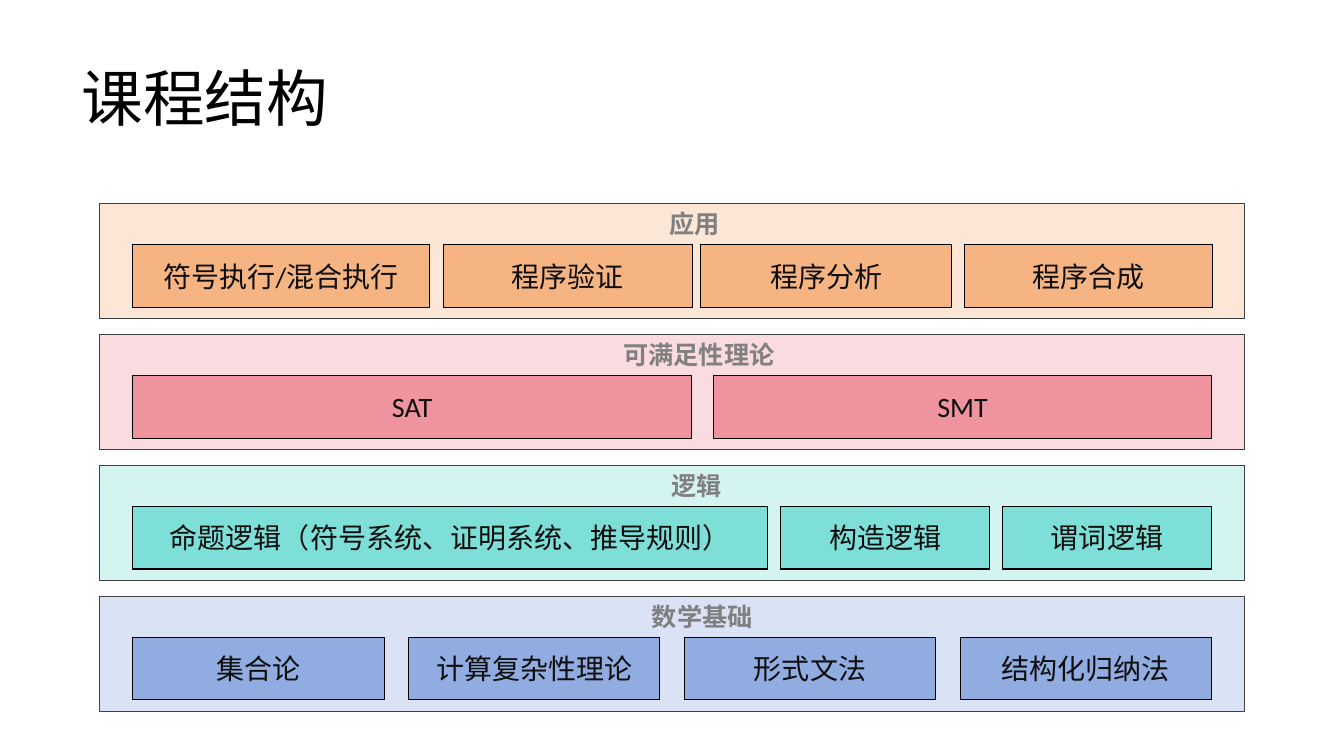
from dataclasses import dataclass

from lxml.etree import SubElement
from pptx import Presentation
from pptx.dml.color import RGBColor
from pptx.enum.shapes import MSO_SHAPE
from pptx.enum.text import MSO_ANCHOR, MSO_AUTO_SIZE, PP_ALIGN
from pptx.oxml.ns import qn
from pptx.util import Cm, Pt

BLACK = RGBColor(0x00, 0x00, 0x00)
TOPIC_INK = RGBColor(0x0D, 0x0D, 0x0D)
LAYER_EDGE = RGBColor(0x40, 0x40, 0x40)
HEADING_GREY = RGBColor(0x80, 0x80, 0x80)
ORANGE = RGBColor(0xF5, 0xB4, 0x82)
PALE_ORANGE = RGBColor(0xFC, 0xE6, 0xD5)
RED = RGBColor(0xEF, 0x94, 0x9E)
PALE_RED = RGBColor(0xFA, 0xDB, 0xDF)
TEAL = RGBColor(0x7D, 0xDF, 0xD7)
PALE_TEAL = RGBColor(0xD4, 0xF4, 0xF2)
BLUE = RGBColor(0x91, 0xAC, 0xE0)
PALE_BLUE = RGBColor(0xDA, 0xE3, 0xF5)

LATIN_FONT = "Calibri"
CHINESE_FONT = "Noto Sans CJK SC"

LAYER_LEFT, LAYER_TOP = 2.51, 5.13
LAYER_WIDTH, LAYER_HEIGHT = 28.85, 2.9
LAYER_PITCH = 3.3
TOPIC_OFFSET, TOPIC_HEIGHT = 1.03, 1.58
HEADING_HEIGHT = 1.03


@dataclass
class Layer:
    heading: str
    heading_offset: float
    heading_width: float
    pale: RGBColor
    strong: RGBColor
    topics: list


LAYERS = [
    Layer("应用", 14.12, 4.67, PALE_ORANGE, ORANGE, [
        ("符号执行/混合执行", 0.82, 7.5),
        ("程序验证", 8.66, 6.28),
        ("程序分析", 15.14, 6.34),
        ("程序合成", 21.8, 6.24),
    ]),
    Layer("可满足性理论", 12.95, 4.67, PALE_RED, RED, [
        ("SAT", 0.84, 14.07),
        ("SMT", 15.48, 12.54),
    ]),
    Layer("逻辑", 14.17, 1.9, PALE_TEAL, TEAL, [
        ("命题逻辑（符号系统、证明系统、推导规则）", 0.84, 16),
        ("构造逻辑", 17.17, 5.26),
        ("谓词逻辑", 22.76, 5.26),
    ]),
    Layer("数学基础", 13.67, 3.28, PALE_BLUE, BLUE, [
        (topic, 0.84 + 6.95 * column, 6.33)
        for column, topic in enumerate(
            ["集合论", "计算复杂性理论", "形式文法", "结构化归纳法"])
    ]),
]


def add_run(paragraph, wording, size, colour, latin=CHINESE_FONT, bold=False):
    run = paragraph.add_run()
    run.text = wording
    run.font.size = Pt(size)
    run.font.bold = bold
    run.font.color.rgb = colour
    run.font.name = latin
    east_asian = SubElement(run.font._element, qn("a:ea"))
    east_asian.set("typeface", CHINESE_FONT)


def add_box(group, left, top, width, height, fill, edge, edge_width):
    box = group.shapes.add_shape(
        MSO_SHAPE.RECTANGLE, Cm(left), Cm(top), Cm(width), Cm(height))
    box.shadow.inherit = False
    box.fill.solid()
    box.fill.fore_color.rgb = fill
    box.line.color.rgb = edge
    box.line.width = Pt(edge_width)
    return box


def add_title(slide, left, top, width, height):
    title = slide.shapes.title
    title.left, title.top = Cm(left), Cm(top)
    title.width, title.height = Cm(width), Cm(height)
    frame = title.text_frame
    frame.auto_size = MSO_AUTO_SIZE.NONE
    frame.vertical_anchor = MSO_ANCHOR.MIDDLE
    paragraph = frame.paragraphs[0]
    paragraph.alignment = PP_ALIGN.LEFT
    paragraph.line_spacing = 0.9
    add_run(paragraph, "课程结构", 44, BLACK)


def add_layer(slide, layer, left, top, width, height):
    group = slide.shapes.add_group_shape()
    add_box(group, left, top, width, height, layer.pale, LAYER_EDGE, 1)

    for topic, offset, topic_width in layer.topics:
        topic_box = add_box(group, left + offset, top + TOPIC_OFFSET,
                            topic_width, TOPIC_HEIGHT, layer.strong, BLACK, 0.75)
        frame = topic_box.text_frame
        frame.word_wrap = True
        frame.vertical_anchor = MSO_ANCHOR.MIDDLE
        paragraph = frame.paragraphs[0]
        paragraph.alignment = PP_ALIGN.CENTER
        add_run(paragraph, topic, 20, TOPIC_INK, LATIN_FONT)

    heading = group.shapes.add_textbox(
        Cm(left + layer.heading_offset), Cm(top),
        Cm(layer.heading_width), Cm(HEADING_HEIGHT))
    heading.text_frame.word_wrap = True
    heading.text_frame.auto_size = MSO_AUTO_SIZE.SHAPE_TO_FIT_TEXT
    add_run(heading.text_frame.paragraphs[0], layer.heading, 18, HEADING_GREY, bold=True)


def main():
    presentation = Presentation()
    presentation.slide_width = Cm(33.87)
    presentation.slide_height = Cm(19.05)
    slide = presentation.slides.add_slide(presentation.slide_layouts[5])

    add_title(slide, 1.8, 0.71, 29.21, 3.68)
    for row, layer in enumerate(LAYERS):
        add_layer(slide, layer, LAYER_LEFT, LAYER_TOP + row * LAYER_PITCH,
                  LAYER_WIDTH, LAYER_HEIGHT)

    presentation.save("out.pptx")


if __name__ == "__main__":
    main()
